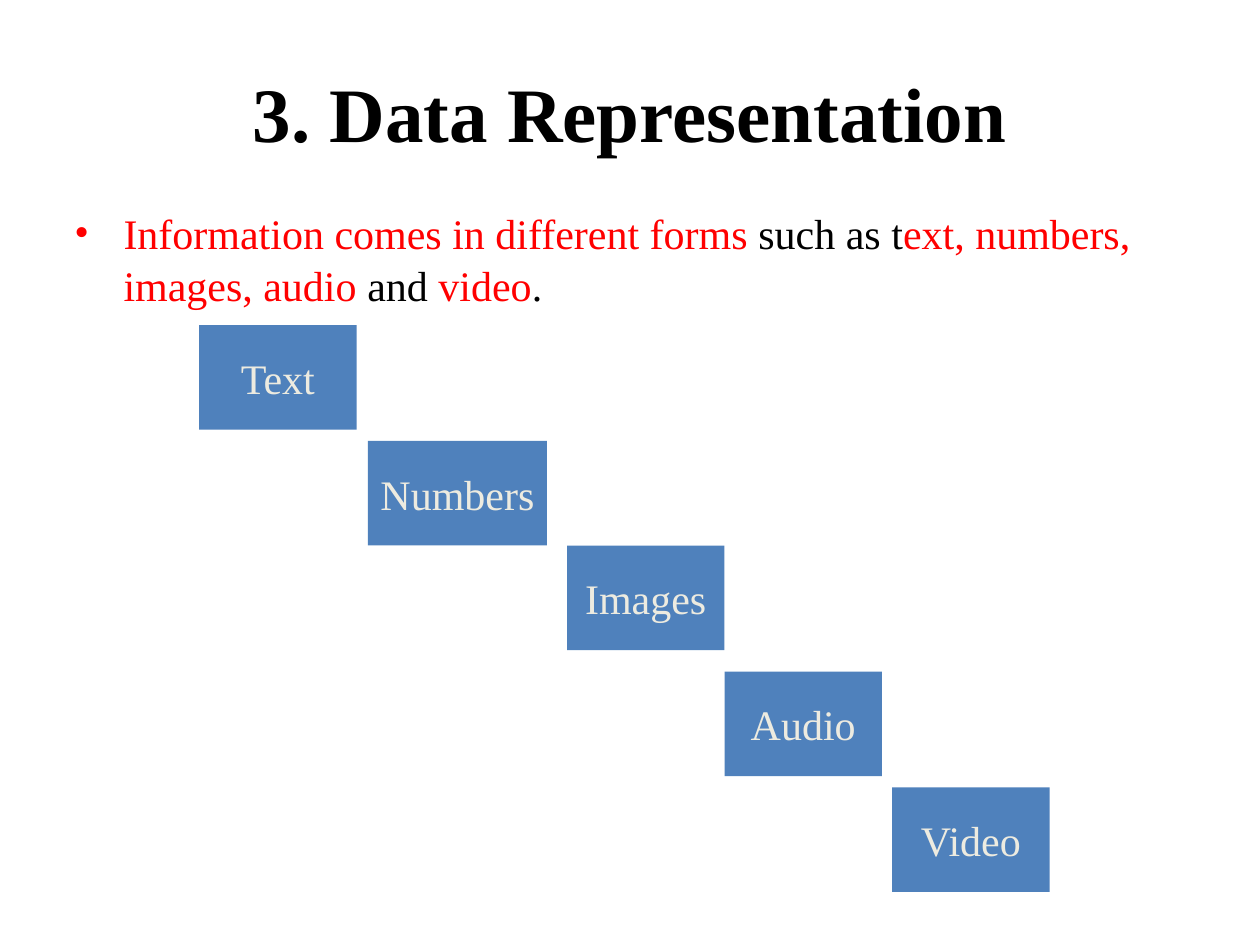
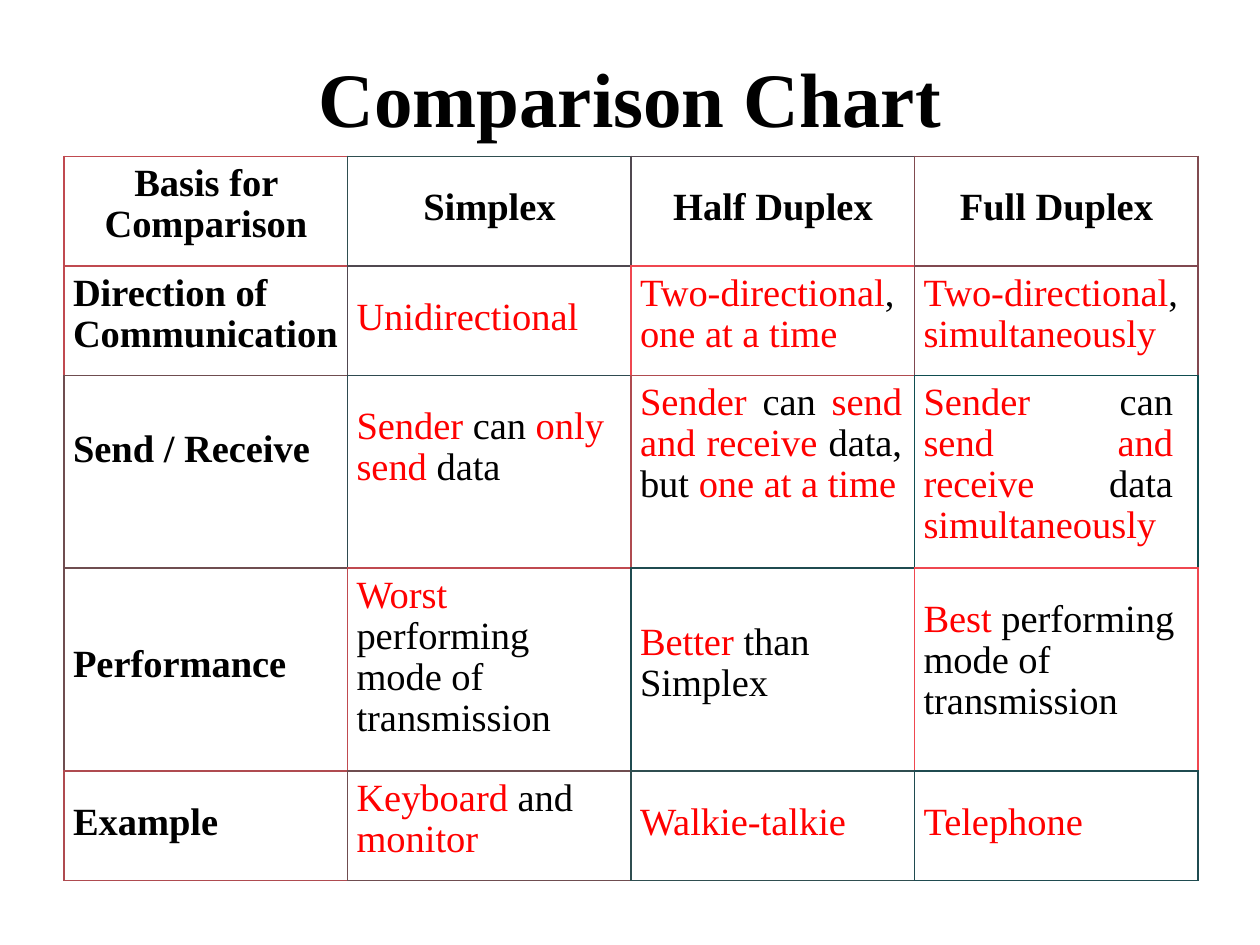
from dataclasses import dataclass
from typing import NamedTuple

from lxml.etree import SubElement
from pptx import Presentation
from pptx.dml.color import RGBColor
from pptx.enum.shapes import MSO_SHAPE
from pptx.enum.text import MSO_ANCHOR, PP_ALIGN
from pptx.oxml.ns import qn
from pptx.slide import Slide
from pptx.table import _Cell
from pptx.text.text import TextFrame, _Paragraph
from pptx.util import Inches, Pt


@dataclass(frozen=True)
class Theme:
    font: str = "Times New Roman"
    ink: str = "000000"
    highlight: str = "FF0000"
    box: str = "4F81BC"
    box_text: str = "EDEBE0"
    title_size: int = 44
    body_size: int = 24
    table_size: int = 22


THEME = Theme()


class InfoForm(NamedTuple):
    label: str
    left: float
    top: float
    width: float = 1.25


class Entry(NamedTuple):
    text: str
    inset: float
    border: str
    right: float = 0.1
    align: PP_ALIGN = PP_ALIGN.LEFT
    bold: bool = False


def header(text: str, inset: float, border: str) -> Entry:
    return Entry(text, inset, border, 0, PP_ALIGN.CENTER, True)


def basis(text: str, inset: float, border: str) -> Entry:
    return Entry(text, inset, border, 0, bold=True)


FORMS = [
    InfoForm("Text", 1.58, 2.58),
    InfoForm("Numbers", 2.92, 3.5, 1.42),
    InfoForm("Images", 4.5, 4.33),
    InfoForm("Audio", 5.75, 5.33),
    InfoForm("Video", 7.08, 6.25),
]
FORM_HEIGHT = 0.83

COLUMN_WIDTH = 2.25
ROW_HEIGHTS = [0.87, 0.87, 1.53, 1.61, 0.87]
COMPARISON = [
    [
        header("Basis for Comparison", 0.06, "C04A50"),
        header("Simplex", 0.25, "2F4E50"),
        header("Half Duplex", 0.25, "504850"),
        header("Full Duplex", 0.25, "804B50"),
    ],
    [
        basis("Direction of Communication", 0.06, "C04A50"),
        Entry("*Unidirectional*", 0.25, "504850"),
        Entry("*Two-directional*, *one at a time*", 0.06, "EF4750"),
        Entry("*Two-directional*, *simultaneously*", 0.06, "804850"),
    ],
    [
        basis("Send / Receive", 0.43, "6F4D50"),
        Entry("*Sender* can *only send* data", 0.25, "2F4A50"),
        Entry("*Sender* can *send and receive* data, but *one at a time*",
              0.06, "AF4B50", align=PP_ALIGN.JUSTIFY),
        Entry("*Sender* can *send and receive* data *simultaneously*",
              0.06, "0F4D50", 0.2, PP_ALIGN.JUSTIFY),
    ],
    [
        basis("Performance", 0.61, "6F4D50"),
        Entry("*Worst* performing mode of transmission", 0.06, "C04A50", 0.15),
        Entry("*Better* than Simplex", 0.43, "1F4B50"),
        Entry("*Best* performing mode of transmission", 0.25, "EF4750"),
    ],
    [
        basis("Example", 0.25, "AF4B50"),
        Entry("*Keyboard* and *monitor*", 0.06, "6F4D50"),
        Entry("*Walkie-talkie*", 0.25, "2F4E50"),
        Entry("*Telephone*", 0.25, "1F4B50"),
    ],
]


def write(frame: TextFrame, text: str, size: int, color: str = THEME.ink,
          bold: bool = False, align: PP_ALIGN = PP_ALIGN.LEFT) -> _Paragraph:
    paragraph = frame.paragraphs[0]
    paragraph.alignment = align
    paragraph.font.name = THEME.font
    paragraph.font.size = Pt(size)
    paragraph.font.bold = bold
    for index, part in enumerate(text.split("*")):
        if part:
            run = paragraph.add_run()
            run.text = part
            run.font.color.rgb = RGBColor.from_string(
                THEME.highlight if index % 2 else color)
    return paragraph


def clear_margins(frame: TextFrame) -> None:
    frame.word_wrap = True
    frame.margin_left = frame.margin_right = 0
    frame.margin_top = frame.margin_bottom = 0


def add_text(slide: Slide, left: float, top: float, width: float,
             height: float) -> TextFrame:
    frame = slide.shapes.add_textbox(
        Inches(left), Inches(top), Inches(width), Inches(height)).text_frame
    clear_margins(frame)
    return frame


def add_title(slide: Slide, text: str, top: float) -> None:
    frame = add_text(slide, 2, top, 6, 0.76)
    write(frame, text, THEME.title_size, bold=True, align=PP_ALIGN.CENTER)


def add_bullet(paragraph: _Paragraph, indent: float) -> None:
    properties = paragraph._p.get_or_add_pPr()
    properties.set("marL", str(Inches(indent)))
    properties.set("indent", str(-Inches(indent)))
    color = SubElement(properties, qn("a:buClr"))
    SubElement(color, qn("a:srgbClr"), val=THEME.highlight)
    SubElement(properties, qn("a:buFont"), typeface=THEME.font)
    SubElement(properties, qn("a:buChar"), char="•")


def add_form(slide: Slide, form: InfoForm) -> None:
    box = slide.shapes.add_shape(
        MSO_SHAPE.RECTANGLE, Inches(form.left), Inches(form.top),
        Inches(form.width), Inches(FORM_HEIGHT))
    box.shadow.inherit = False
    box.fill.solid()
    box.fill.fore_color.rgb = RGBColor.from_string(THEME.box)
    box.line.fill.background()
    clear_margins(box.text_frame)
    box.text_frame.vertical_anchor = MSO_ANCHOR.MIDDLE
    write(box.text_frame, form.label, THEME.body_size, THEME.box_text,
          align=PP_ALIGN.CENTER)


def set_borders(cell: _Cell, colors: dict[str, str]) -> None:
    properties = cell._tc.get_or_add_tcPr()
    for position, (side, color) in enumerate(colors.items()):
        line = SubElement(properties, qn(f"a:{side}"), w=str(Pt(1)))
        fill = SubElement(line, qn("a:solidFill"))
        SubElement(fill, qn("a:srgbClr"), val=color)
        properties.insert(position, line)


def fill_cell(cell: _Cell, entry: Entry) -> None:
    cell.fill.background()
    cell.margin_left = Inches(0 if entry.align == PP_ALIGN.CENTER else 0.07)
    cell.margin_right = Inches(entry.right)
    cell.margin_top = Inches(entry.inset)
    cell.margin_bottom = 0
    paragraph = write(cell.text_frame, entry.text, THEME.table_size,
                      bold=entry.bold, align=entry.align)
    paragraph.line_spacing = 0.96


def add_comparison(slide: Slide) -> None:
    row_count, column_count = len(COMPARISON), len(COMPARISON[0])
    table = slide.shapes.add_table(
        row_count, column_count, Inches(0.51), Inches(1.24),
        Inches(COLUMN_WIDTH * column_count), Inches(sum(ROW_HEIGHTS))).table
    table.first_row = table.horz_banding = False
    for column in table.columns:
        column.width = Inches(COLUMN_WIDTH)
    for r, entries in enumerate(COMPARISON):
        table.rows[r].height = Inches(ROW_HEIGHTS[r])
        below = COMPARISON[min(r + 1, row_count - 1)]
        for c, entry in enumerate(entries):
            beside = entries[min(c + 1, column_count - 1)]
            fill_cell(table.cell(r, c), entry)
            set_borders(table.cell(r, c), {
                "lnL": entry.border, "lnR": beside.border,
                "lnT": entry.border, "lnB": below[c].border})


def build_representation(slide: Slide) -> None:
    add_title(slide, "3. Data Representation", 0.52)
    statement = write(
        add_text(slide, 0.59, 1.63, 8.39, 0.83),
        "*Information comes in different forms* such as t*ext, numbers, "
        "images, audio* and *video*.", THEME.body_size)
    statement.line_spacing = 1.04
    add_bullet(statement, 0.39)
    for form in FORMS:
        add_form(slide, form)


def build_comparison(slide: Slide) -> None:
    add_title(slide, "Comparison Chart", 0.4)
    add_comparison(slide)


def main() -> None:
    presentation = Presentation()
    presentation.slide_width = Inches(10)
    presentation.slide_height = Inches(7.5)
    blank = presentation.slide_layouts[6]
    for build in (build_representation, build_comparison):
        build(presentation.slides.add_slide(blank))
    presentation.save("out.pptx")


if __name__ == "__main__":
    main()
